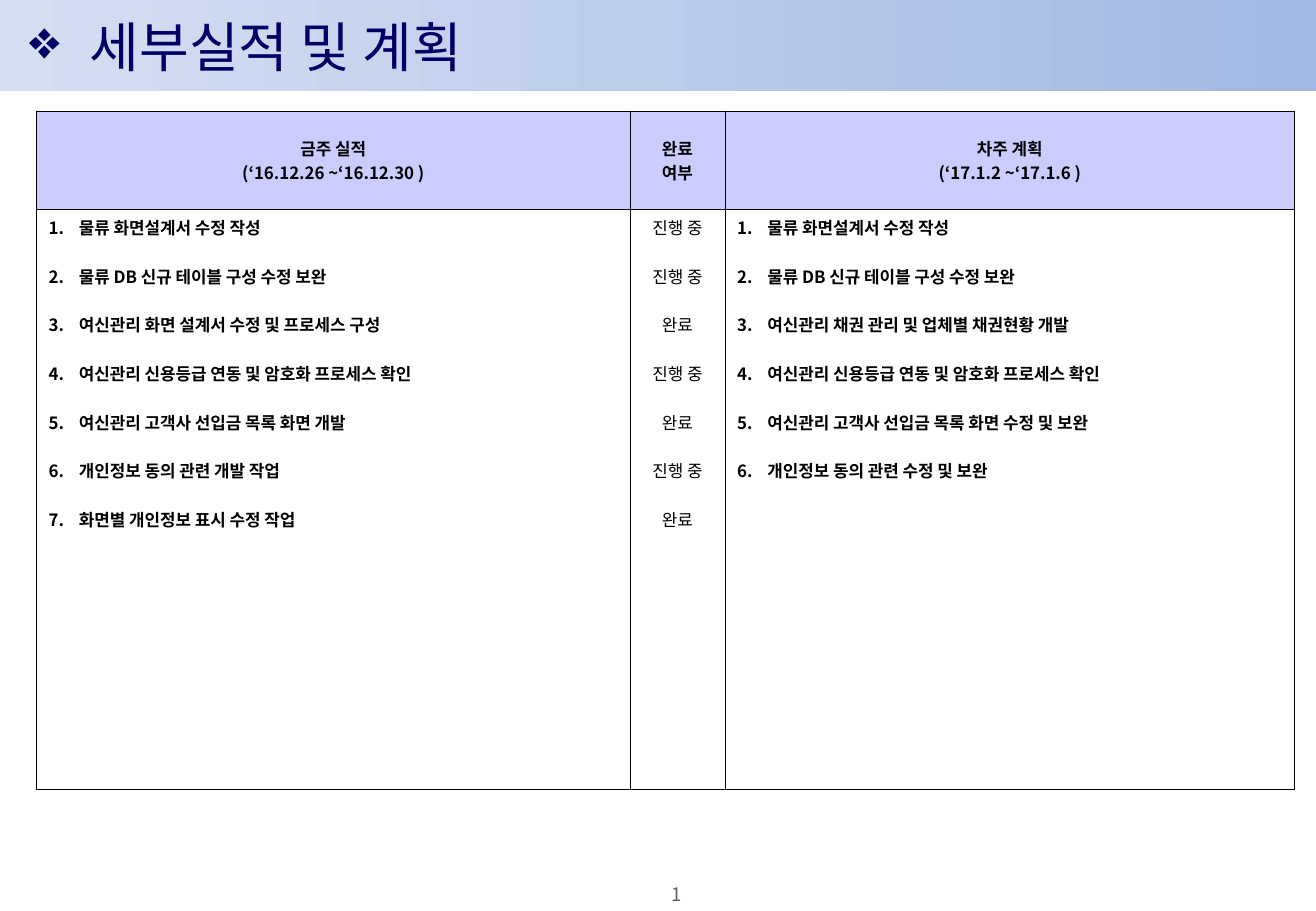
from pptx import Presentation
from pptx.dml.color import RGBColor
from pptx.enum.shapes import MSO_SHAPE as SHAPE
from pptx.enum.text import MSO_ANCHOR as ANCHOR, MSO_AUTO_SIZE as FIT, PP_ALIGN as ALIGN
from pptx.oxml import parse_xml
from pptx.oxml.ns import nsdecls
from pptx.util import Pt

FONT = "Noto Sans CJK KR"
TITLE = "세부실적 및 계획"
HEADERS = [
    ["금주 실적", "(‘16.12.26 ~‘16.12.30 )"],
    ["완료", "여부"],
    ["차주 계획", "(‘17.1.2 ~‘17.1.6 )"],
]
RESULTS = [
    ("물류 화면설계서 수정 작성", "진행 중"),
    ("물류 DB 신규 테이블 구성 수정 보완", "진행 중"),
    ("여신관리 화면 설계서 수정 및 프로세스 구성", "완료"),
    ("여신관리 신용등급 연동 및 암호화 프로세스 확인", "진행 중"),
    ("여신관리 고객사 선입금 목록 화면 개발", "완료"),
    ("개인정보 동의 관련 개발 작업", "진행 중"),
    ("화면별 개인정보 표시 수정 작업", "완료"),
]
PLANS = [
    "물류 화면설계서 수정 작성",
    "물류 DB 신규 테이블 구성 수정 보완",
    "여신관리 채권 관리 및 업체별 채권현황 개발",
    "여신관리 신용등급 연동 및 암호화 프로세스 확인",
    "여신관리 고객사 선입금 목록 화면 수정 및 보완",
    "개인정보 동의 관련 수정 및 보완",
]
COLUMNS = [351.8, 56.3, 337.7]
ROWS = [58.2, 344.2]
LINE = 14.4
NUMBERED = '<a:buAutoNum %s type="arabicPeriod"/>'
DIAMOND = '<a:buChar %s char="❖"/>'


def rgb(value):
    return RGBColor.from_string(value)


def xml(template):
    return parse_xml(template % nsdecls("a"))


def style(r, size, color, bold=False):
    for name, value in {"name": FONT, "size": Pt(size), "bold": bold}.items():
        setattr(r.font, name, value)
    r.font.color.rgb = rgb(color)
    r._r.get_or_add_rPr().append(xml(f'<a:ea %s typeface="{FONT}"/>'))


def add_bullet(p, template, hang):
    pPr = p._p.get_or_add_pPr()
    pPr.set("marL", str(Pt(hang)))
    pPr.set("indent", str(-Pt(hang)))
    pPr.append(xml(template))


def write(tf, lines, size=10, color="000000", bold=True, align=ALIGN.CENTER,
          gap=0, bullet=None, hang=18):
    for i, text in enumerate(lines):
        p = tf.add_paragraph() if i else tf.paragraphs[0]
        p.alignment = align
        if i and gap:
            p.space_before = Pt(gap)
        if bullet:
            add_bullet(p, bullet, hang)
        r = p.add_run()
        r.text = text
        style(r, size, color, bold)


def set_borders(cell):
    tcPr = cell._tc.get_or_add_tcPr()
    for side in "LRTB":
        tcPr.append(xml(f'<a:ln{side} %s w="{Pt(0.5)}"><a:solidFill>'
                        f'<a:srgbClr val="000000"/></a:solidFill></a:ln{side}>'))


def add_band(s, width):
    band = s.shapes.add_shape(SHAPE.RECTANGLE, 0, 0, width, Pt(54))
    band.shadow.inherit = False
    band.line.fill.background()
    band.fill.gradient()
    band.fill.gradient_angle = 0
    for stop, color in zip(band.fill.gradient_stops, ["D5DFF2", "A3B8E3"]):
        stop.color.rgb = rgb(color)
    s.shapes._spTree.insert(2, band._element)


def add_title(s):
    title = s.shapes.title
    box = {"left": 10, "top": 0, "width": 510, "height": 54}
    for name, value in box.items():
        setattr(title, name, Pt(value))
    tf = title.text_frame
    tf.auto_size = FIT.NONE
    tf.vertical_anchor = ANCHOR.MIDDLE
    write(tf, [TITLE], 32, "000066", False, ALIGN.LEFT, bullet=DIAMOND, hang=36)


def add_report(s):
    frame = s.shapes.add_table(2, 3, Pt(21.6), Pt(65.8), Pt(sum(COLUMNS)), Pt(sum(ROWS)))
    table = frame.table
    table.first_row = table.horz_banding = False
    for column, width in zip(table.columns, COLUMNS):
        column.width = Pt(width)
    for row, height in zip(table.rows, ROWS):
        row.height = Pt(height)
    for cell in table.iter_cells():
        set_borders(cell)
        cell.fill.background()
    for i, lines in enumerate(HEADERS):
        cell = table.cell(0, i)
        cell.fill.solid()
        cell.fill.fore_color.rgb = rgb("CCCCFF")
        cell.vertical_anchor = ANCHOR.MIDDLE
        write(cell.text_frame, lines)
    tasks, states = zip(*RESULTS)
    for i, lines in ((0, tasks), (2, PLANS)):
        write(table.cell(1, i).text_frame, lines, align=ALIGN.LEFT, gap=LINE, bullet=NUMBERED)
    write(table.cell(1, 1).text_frame, states, bold=False, gap=LINE)


def add_page_number(s):
    sp = s.shapes.add_textbox(Pt(367.2), Pt(523.4), Pt(67.7), Pt(13))
    tf = sp.text_frame
    for side in ("left", "right", "top", "bottom"):
        setattr(tf, f"margin_{side}", 0)
    tf.word_wrap = True
    tf.vertical_anchor = ANCHOR.MIDDLE
    write(tf, ["1"], 11, "5F5F5F", False)


def main():
    prs = Presentation()
    prs.slide_width, prs.slide_height = Pt(780), Pt(540)
    s = prs.slides.add_slide(prs.slide_layouts[5])
    add_band(s, prs.slide_width)
    add_title(s)
    add_report(s)
    add_page_number(s)
    prs.save("out.pptx")


if __name__ == "__main__":
    main()
